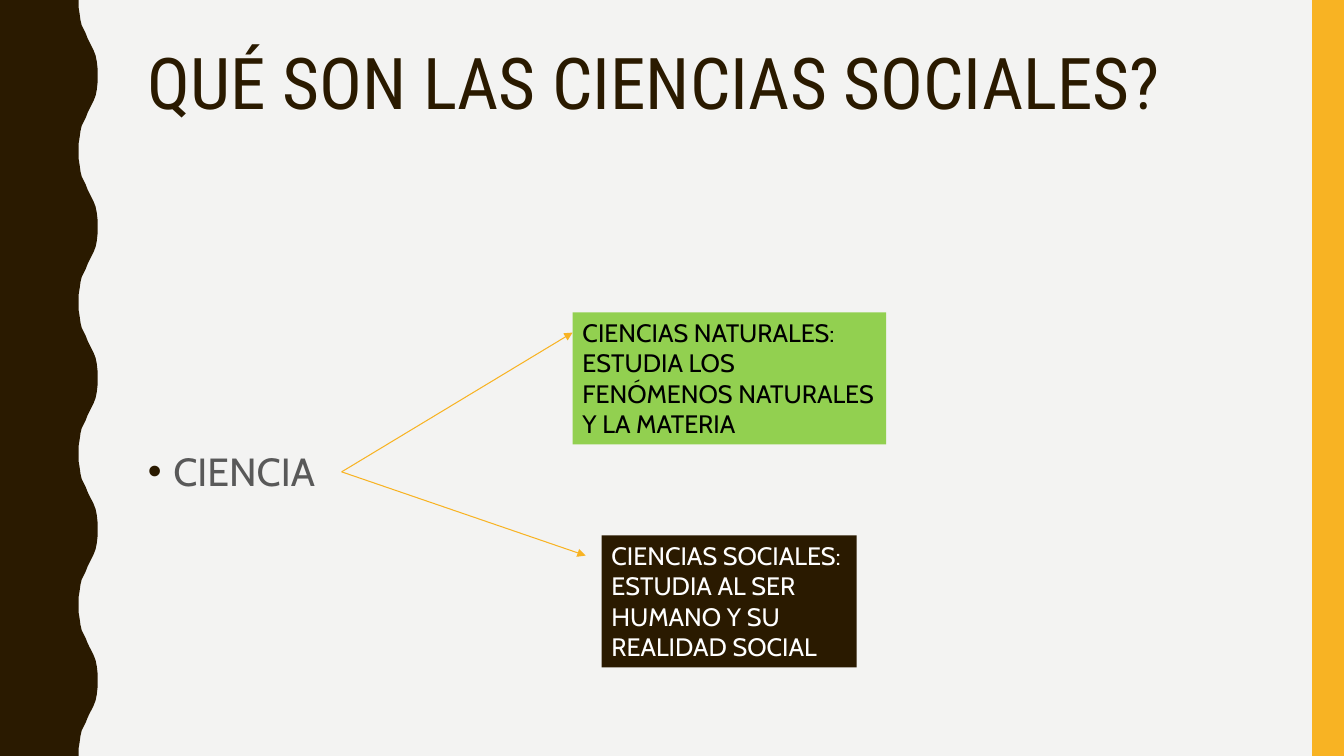
from lxml.etree import SubElement
from pptx import Presentation
from pptx.dml.color import RGBColor
from pptx.enum.shapes import MSO_CONNECTOR, MSO_SHAPE
from pptx.enum.text import MSO_ANCHOR, PP_ALIGN
from pptx.oxml.ns import qn
from pptx.util import Cm, Pt

WIDTH, HEIGHT = 33.87, 19.05
COLORS = {
    "paper": "F3F3F2", "brown": "2A1A00", "amber": "F8B323",
    "green": "92D050", "gray": "595959", "black": "000000", "white": "FFFFFF",
}
FORMATS = {
    "title": {"name": "Roboto Condensed", "size": Pt(51)},
    "topic": {"name": "Cabin", "size": Pt(28)},
    "branch": {"name": "Cabin", "size": Pt(18)},
}
FRAME = {
    "word_wrap": True, "vertical_anchor": MSO_ANCHOR.TOP,
    "margin_left": Cm(0.25), "margin_right": Cm(0.25),
    "margin_top": Cm(0.13), "margin_bottom": Cm(0.13),
}
# Half a wave of the left edge: (x, y) in cm
HALF_WAVE = [
    (1.98, 0), (1.98, 0.18), (2.01, 0.36), (2.03, 0.51), (2.06, 0.64),
    (2.11, 0.74), (2.16, 0.84), (2.21, 0.97), (2.26, 1.07), (2.31, 1.17),
    (2.36, 1.27), (2.41, 1.4), (2.44, 1.55), (2.46, 1.73), (2.46, 1.9),
]
HALF_WAVES = 10


def set_all(target, values):
    for key, value in values.items():
        setattr(target, key, value)


def rgb(color):
    return RGBColor.from_string(COLORS[color])


class SlideBuilder:
    def __init__(self, slide):
        self.slide = slide
        slide.background.fill.solid()
        slide.background.fill.fore_color.rgb = rgb("paper")

    def paint(self, shape, color):
        shape.shadow.inherit = False
        shape.fill.solid()
        shape.fill.fore_color.rgb = rgb(color)
        shape.line.fill.background()

    def wave(self, color):
        step = HEIGHT / HALF_WAVES
        edge = []
        for half in range(HALF_WAVES):
            if half % 2 == 0:
                edge += [(x, half * step + y) for x, y in HALF_WAVE]
            else:
                edge += [(x, (half + 1) * step - y) for x, y in reversed(HALF_WAVE)]
        points = [(Cm(x), Cm(y)) for x, y in edge + [(0, HEIGHT)]]
        builder = self.slide.shapes.build_freeform(0, 0)
        builder.add_line_segments(points, close=True)
        self.paint(builder.convert_to_shape(), color)

    def block(self, box, color):
        block = self.slide.shapes.add_shape(MSO_SHAPE.RECTANGLE, *map(Cm, box))
        self.paint(block, color)
        return block

    def fill_text(self, shape, text, style, color, bullet=None, spacing=1.0):
        set_all(shape.text_frame, FRAME)
        paragraph = shape.text_frame.paragraphs[0]
        paragraph.text = text
        set_all(paragraph, {"alignment": PP_ALIGN.LEFT, "line_spacing": spacing})
        if bullet:
            self.add_bullet(paragraph, bullet)
        set_all(paragraph.runs[0].font, FORMATS[style])
        paragraph.runs[0].font.color.rgb = rgb(color)

    def add_bullet(self, paragraph, color):
        properties = paragraph._p.get_or_add_pPr()
        properties.set("marL", str(Cm(0.64)))
        properties.set("indent", str(-Cm(0.64)))
        bullet_color = SubElement(properties, qn("a:buClr"))
        SubElement(bullet_color, qn("a:srgbClr"), val=COLORS[color])
        SubElement(properties, qn("a:buFont"), typeface="Arial")
        SubElement(properties, qn("a:buChar"), char="•")

    def label(self, box, *args, **options):
        label = self.slide.shapes.add_textbox(*map(Cm, box))
        self.fill_text(label, *args, **options)

    def arrow(self, start, end, color):
        arrow = self.slide.shapes.add_connector(
            MSO_CONNECTOR.STRAIGHT, *map(Cm, start + end))
        arrow.line.color.rgb = rgb(color)
        arrow.line.width = Pt(0.75)
        SubElement(arrow.line._get_or_add_ln(), qn("a:tailEnd"), type="triangle")
        SubElement(arrow._element.spPr, qn("a:effectLst"))


def main():
    deck = Presentation()
    set_all(deck, {"slide_width": Cm(WIDTH), "slide_height": Cm(HEIGHT)})
    page = SlideBuilder(deck.slides.add_slide(deck.slide_layouts[6]))

    # Side decoration
    page.wave("brown")
    page.block((33.07, 0, 0.8, HEIGHT), "amber")

    # Title and topic
    page.label((3.48, 1.07, 28.27, 4.14), "QUÉ SON LAS CIENCIAS SOCIALES?",
               "title", "brown", spacing=0.9)
    page.label((3.48, 11.14, 5, 1.45), "CIENCIA", "topic", "gray", bullet="brown")

    # Branches of science
    fork = (8.61, 11.89)
    branches = [
        ((14.43, 7.87, 7.9, 3.33), (14.43, 8.38), "green", "black",
         "CIENCIAS NATURALES: ESTUDIA LOS FENÓMENOS NATURALES Y LA MATERIA"),
        ((15.16, 13.49, 6.43, 3.33), (14.76, 14), "brown", "white",
         "CIENCIAS SOCIALES: ESTUDIA AL SER HUMANO Y SU REALIDAD SOCIAL"),
    ]
    for box, arrow_end, fill, ink, text in branches:
        page.arrow(fork, arrow_end, "amber")
        page.fill_text(page.block(box, fill), text, "branch", ink)

    deck.save("out.pptx")


if __name__ == "__main__":
    main()
